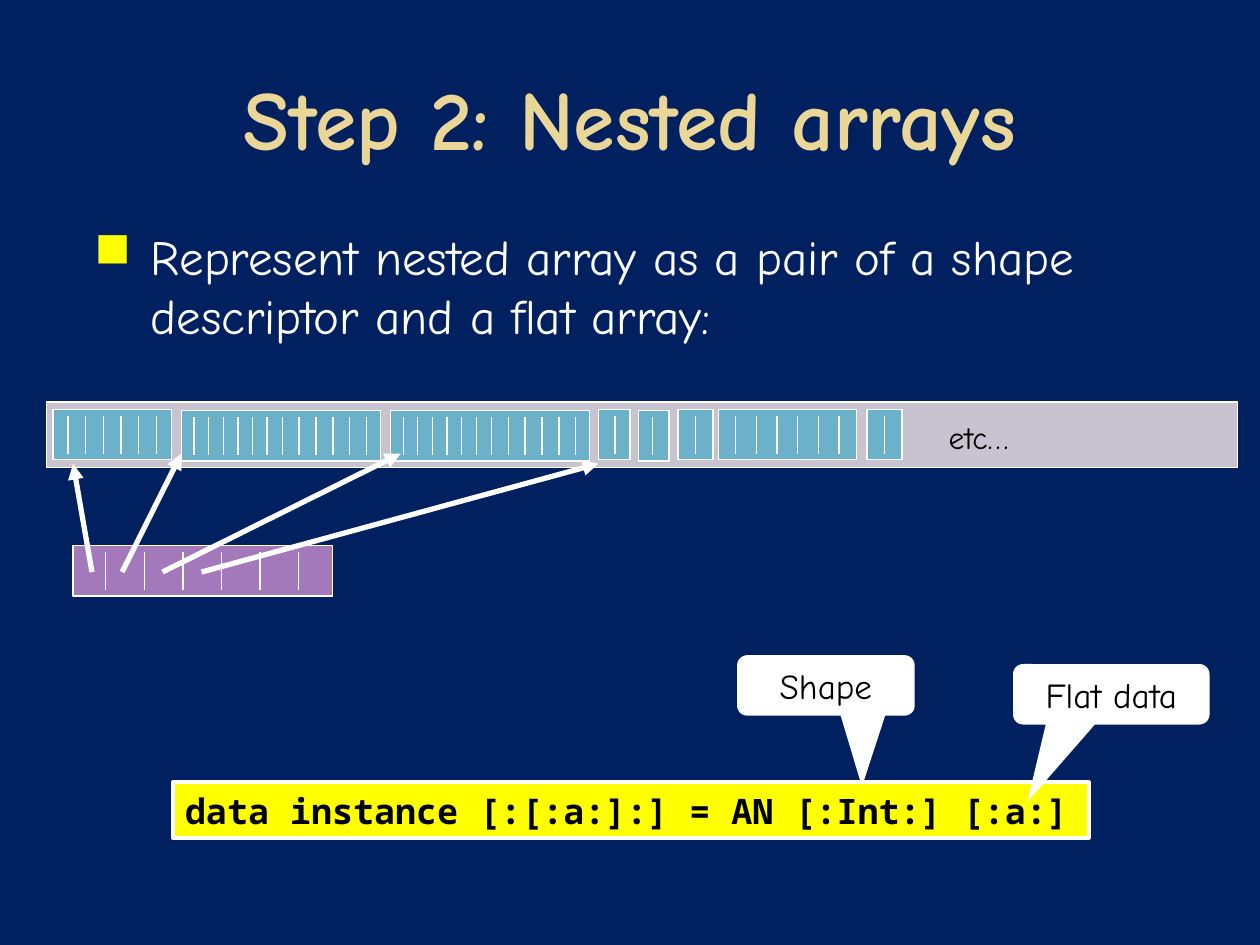
from pptx import Presentation
from pptx.dml.color import RGBColor
from pptx.enum.shapes import MSO_CONNECTOR, MSO_SHAPE
from pptx.enum.text import MSO_ANCHOR, PP_ALIGN
from pptx.oxml.ns import qn
from pptx.util import Inches, Pt
from lxml.etree import SubElement

TITLE = "Step 2: Nested arrays"
BODY = "Represent nested array as a pair of a shape descriptor and a flat array:"
CODE = "data instance [:[:a:]:] = AN [:Int:] [:a:]"
HAND, MONO = "Comic Neue", "Noto Sans Mono"
WHITE, BLACK, YELLOW = "FFFFFF", "000000", "FFFF00"
GREY, BLUE, PURPLE = "C9C2D1", "6BB1C9", "A379BB"

WIDE_TICKS = [(0.1, 0.116, 6), (0.8, 0.134, 6)]
# Each array: left, top, width, fill, tick runs as (first offset, step, count)
ARRAYS = [
    (0.42, 3.25, 0.94, BLUE, [(0.12, 0.14, 6)]),
    (1.44, 3.26, 1.58, BLUE, WIDE_TICKS),
    (3.1, 3.26, 1.58, BLUE, WIDE_TICKS),
    (4.75, 3.25, 0.25, BLUE, [(0.13, 0, 1)]),
    (5.07, 3.26, 0.24, BLUE, [(0.11, 0, 1)]),
    (5.38, 3.25, 0.28, BLUE, [(0.14, 0, 1)]),
    (5.7, 3.25, 1.1, BLUE, [(0.14, 0.164, 6)]),
    (6.88, 3.25, 0.28, BLUE, [(0.14, 0, 1)]),
    (0.58, 4.33, 2.06, PURPLE, [(0.26, 0.306, 6)]),
]
POINTERS = [
    ((0.73, 4.54), (0.58, 3.68)),
    ((0.97, 4.54), (1.44, 3.6)),
    ((1.29, 4.54), (3.18, 3.6)),
    ((1.6, 4.54), (4.75, 3.68)),
]
SHAPE_CALLOUT = ("Shape", (5.85, 5.2, 1.41, 0.48), (0.203, 1.676, 0.167))
DATA_CALLOUT = ("Flat data", (8.04, 5.27, 1.56, 0.48), (-0.427, 1.78, 0.167))


def color(value):
    return RGBColor.from_string(value)


def write(box, text, size, font=HAND, ink=BLACK, bold=False, align=PP_ALIGN.LEFT,
          anchor=MSO_ANCHOR.MIDDLE, wrap=True):
    frame = box.text_frame
    frame.word_wrap = wrap
    frame.vertical_anchor = anchor
    para = frame.paragraphs[0]
    para.alignment = align
    span = para.add_run()
    span.text = text
    span.font.name, span.font.size, span.font.bold = font, Pt(size), bold
    span.font.color.rgb = color(ink)
    return para


def add_box(page, place, fill, line=None, weight=0.75, kind=MSO_SHAPE.RECTANGLE):
    box = page.shapes.add_shape(kind, *map(Inches, place))
    box.shadow.inherit = False
    box.fill.solid()
    box.fill.fore_color.rgb = color(fill)
    if line:
        box.line.color.rgb = color(line)
        box.line.width = Pt(weight)
    else:
        box.line.fill.background()
    return box


def add_line(page, start, end, weight=0.75, arrow=False):
    line = page.shapes.add_connector(MSO_CONNECTOR.STRAIGHT, *map(Inches, start + end))
    line.line.color.rgb = color(WHITE)
    line.line.width = Pt(weight)
    if arrow:
        SubElement(line.line._get_or_add_ln(), qn("a:tailEnd"), type="triangle")
    SubElement(line._element.spPr, qn("a:effectLst"))


def add_callout(page, text, place, adjustments):
    box = add_box(page, place, WHITE, kind=MSO_SHAPE.ROUNDED_RECTANGULAR_CALLOUT)
    for index, value in enumerate(adjustments):
        box.adjustments[index] = value
    write(box, text, 20, align=PP_ALIGN.CENTER)


def add_array(page, left, top, width, fill, runs):
    add_box(page, (left, top, width, 0.4), fill, WHITE)
    for first, step, count in runs:
        for index in range(count):
            x = left + first + index * step
            add_line(page, (x, top + 0.05), (x, top + 0.35))


def add_title(page):
    title = page.shapes.title
    title.left, title.top, title.width, title.height = map(Inches, (0.5, 0.3, 9, 1.25))
    para = write(title, TITLE, 48, ink="EAD696", bold=True, align=PP_ALIGN.CENTER)
    fill = para.runs[0].font.fill
    fill.gradient()
    fill.gradient_angle = 280
    for stop, (position, ink) in zip(fill.gradient_stops, [(0.73, "EAD696"), (1, "E7D081")]):
        stop.position = position
        stop.color.rgb = color(ink)


def add_body(page):
    body = page.shapes.add_textbox(*map(Inches, (0.5, 1.75, 9, 5.15)))
    para = write(body, BODY, 28, ink=WHITE, anchor=MSO_ANCHOR.TOP)
    props = para._p.get_or_add_pPr()
    props.set("marL", str(Inches(0.6)))
    props.set("indent", str(Inches(-0.45)))
    SubElement(SubElement(props, qn("a:buClr")), qn("a:srgbClr"), val=YELLOW)
    SubElement(props, qn("a:buChar"), char="■")


def main():
    """Build the nested arrays slide."""
    deck = Presentation()
    deck.slide_width, deck.slide_height = Inches(10), Inches(7.5)
    page = deck.slides.add_slide(deck.slide_layouts[5])
    page.background.fill.solid()
    page.background.fill.fore_color.rgb = color("002060")
    add_title(page)
    add_body(page)
    add_callout(page, *SHAPE_CALLOUT)
    code = add_box(page, (1.37, 6.21, 7.27, 0.44), YELLOW, WHITE, 2.25)
    write(code, CODE, 20, font=MONO, bold=True, wrap=False)
    add_callout(page, *DATA_CALLOUT)
    add_box(page, (0.37, 3.19, 9.45, 0.52), GREY, WHITE)
    for array in ARRAYS:
        add_array(page, *array)
    label = page.shapes.add_textbox(*map(Inches, (7.43, 3.27, 0.75, 0.4)))
    write(label, "etc…", 18, wrap=False)
    for start, end in POINTERS:
        add_line(page, start, end, weight=3, arrow=True)
    deck.save("out.pptx")


if __name__ == "__main__":
    main()
